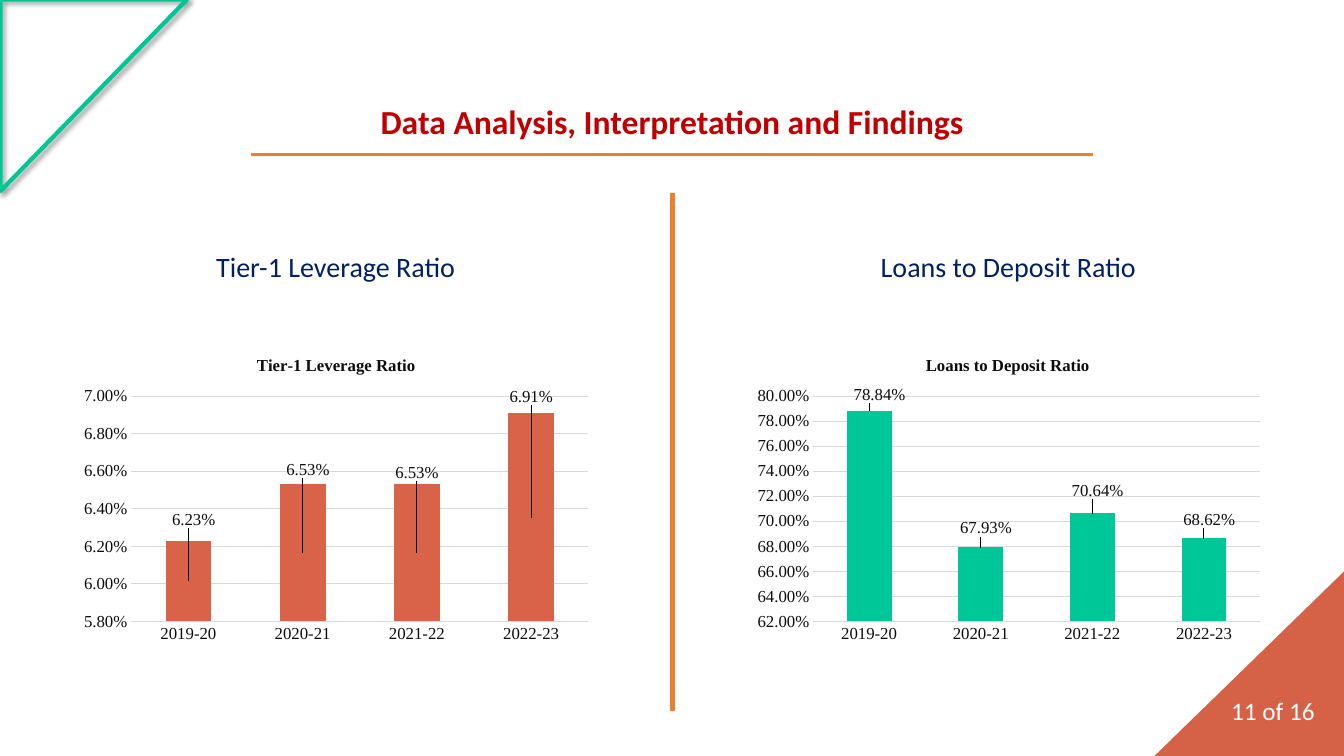
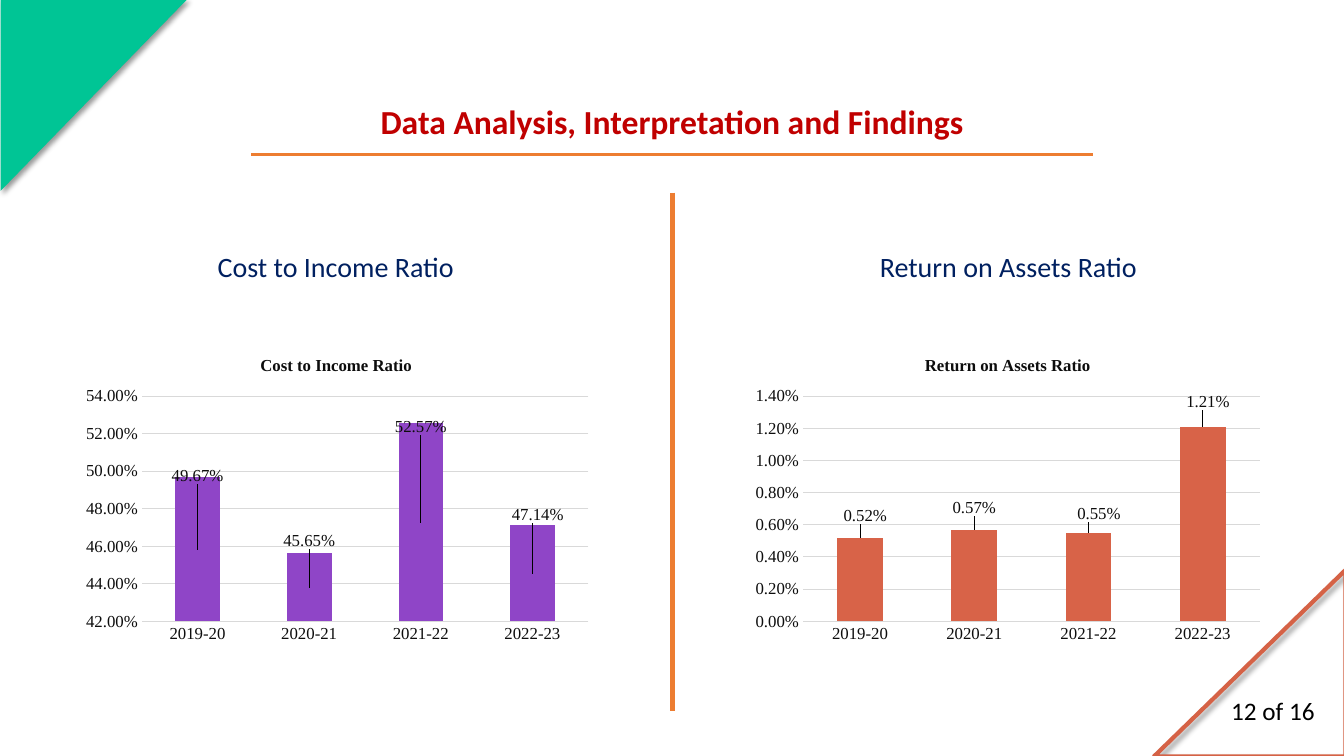
from lxml.etree import SubElement
from pptx import Presentation
from pptx.chart.data import CategoryChartData
from pptx.dml.color import RGBColor
from pptx.enum.chart import XL_CHART_TYPE, XL_LABEL_POSITION, XL_TICK_MARK
from pptx.enum.shapes import MSO_CONNECTOR, MSO_SHAPE
from pptx.enum.text import PP_ALIGN
from pptx.oxml import parse_xml
from pptx.oxml.ns import nsdecls, qn
from pptx.util import Inches, Pt

GREEN = RGBColor(0x00, 0xC5, 0x95)
CORAL = RGBColor(0xD5, 0x62, 0x46)
BAR_GREEN = RGBColor(0x00, 0xC7, 0x98)
BAR_CORAL = RGBColor(0xD8, 0x63, 0x48)
BAR_PURPLE = RGBColor(0x8F, 0x45, 0xC7)
ORANGE = RGBColor(0xED, 0x7D, 0x31)
RED = RGBColor(0xC0, 0x00, 0x00)
NAVY = RGBColor(0x00, 0x20, 0x60)
INK = RGBColor(0x0D, 0x0D, 0x0D)
GRID = RGBColor(0xD9, 0xD9, 0xD9)
BLACK = RGBColor(0x00, 0x00, 0x00)
WHITE = RGBColor(0xFF, 0xFF, 0xFF)

TITLE = "Data Analysis, Interpretation and Findings"
YEARS = ["2019-20", "2020-21", "2021-22", "2022-23"]
PERCENT = "0.00%"
STACKED = XL_CHART_TYPE.COLUMN_STACKED
CLUSTERED = XL_CHART_TYPE.COLUMN_CLUSTERED

SLIDES = [
    {
        "number": "11 of 16",
        "number_color": WHITE,
        "green_filled": False,
        "coral_filled": True,
        "left": {
            "name": "Tier-1 Leverage Ratio",
            "kind": STACKED,
            "color": BAR_CORAL,
            "values": [0.0623, 0.0653, 0.0653, 0.0691],
            "scale": (0.058, 0.07, 0.002),
            "plot_left": 0.11,
            "offsets": [(0.01, -0.2), (0.01, -0.27), (0, -0.26), (0, -0.39)],
        },
        "right": {
            "name": "Loans to Deposit Ratio",
            "kind": CLUSTERED,
            "color": BAR_GREEN,
            "values": [0.7884, 0.6793, 0.7064, 0.6862],
            "scale": (0.62, 0.8, 0.02),
            "plot_left": 0.13,
            "offsets": [(0.02, -0.01), (0.01, -0.02), (0.01, -0.03), (0.01, -0.02)],
        },
    },
    {
        "number": "12 of 16",
        "number_color": BLACK,
        "green_filled": True,
        "coral_filled": False,
        "left": {
            "name": "Cost to Income Ratio",
            "kind": STACKED,
            "color": BAR_PURPLE,
            "values": [0.4967, 0.4565, 0.5257, 0.4714],
            "scale": (0.42, 0.54, 0.02),
            "plot_left": 0.13,
            "offsets": [(0, -0.24), (0, -0.15), (0, -0.31), (0.01, -0.19)],
        },
        "right": {
            "name": "Return on Assets Ratio",
            "kind": CLUSTERED,
            "color": BAR_CORAL,
            "values": [0.0052, 0.0057, 0.0055, 0.0121],
            "scale": (0, 0.014, 0.002),
            "plot_left": 0.11,
            "offsets": [(0.01, -0.03), (0, -0.03), (0.02, -0.02), (0.01, -0.04)],
        },
    },
]


def set_font(font, name, size, color, bold=False):
    font.name = name
    font.size = Pt(size)
    font.color.rgb = color
    font.bold = bold


def manual_layout(**settings):
    layout = parse_xml(f"<c:layout {nsdecls('c')}><c:manualLayout/></c:layout>")
    for tag, value in settings.items():
        SubElement(layout[0], qn(f"c:{tag}")).set("val", str(value))
    return layout


class Deck:
    text_font = "Calibri"
    chart_font = "Times New Roman"

    def __init__(self):
        self.presentation = Presentation()
        self.presentation.slide_width = Inches(13.33)
        self.presentation.slide_height = Inches(7.5)
        self.slide = None

    def add_slide(self):
        layout = self.presentation.slide_layouts[6]
        self.slide = self.presentation.slides.add_slide(layout)

    def corner(self, left, top, width, height, rotation, color, filled):
        shape = self.slide.shapes.add_shape(
            MSO_SHAPE.RIGHT_TRIANGLE,
            Inches(left), Inches(top), Inches(width), Inches(height))
        shape.rotation = rotation
        if filled:
            shape.fill.solid()
            shape.fill.fore_color.rgb = color
            shape.line.fill.background()
        else:
            shape.fill.background()
            shape.line.color.rgb = color
            shape.line.width = Pt(3)
        shape.shadow.inherit = False
        effects = shape._element.spPr.find(qn("a:effectLst"))
        effects.append(parse_xml(
            f'<a:outerShdw {nsdecls("a")} blurRad="{Pt(4)}" dist="{Pt(3)}" '
            'dir="2700000" algn="tl" rotWithShape="0"><a:srgbClr val="000000">'
            '<a:alpha val="40000"/></a:srgbClr></a:outerShdw>'))

    def text(self, text, left, top, width, height, size, color, bold=False):
        box = self.slide.shapes.add_textbox(
            Inches(left), Inches(top), Inches(width), Inches(height))
        box.text_frame.word_wrap = True
        paragraph = box.text_frame.paragraphs[0]
        paragraph.text = text
        paragraph.alignment = PP_ALIGN.CENTER
        set_font(paragraph.font, self.text_font, size, color, bold)

    def line(self, start_x, start_y, end_x, end_y, width):
        connector = self.slide.shapes.add_connector(
            MSO_CONNECTOR.STRAIGHT,
            Inches(start_x), Inches(start_y), Inches(end_x), Inches(end_y))
        connector.line.color.rgb = ORANGE
        connector.line.width = Pt(width)
        SubElement(connector._element.spPr, qn("a:effectLst"))

    def chart(self, left, ratio):
        data = CategoryChartData(number_format=PERCENT)
        data.categories = YEARS
        data.add_series("Series 1", ratio["values"])
        chart = self.slide.shapes.add_chart(
            ratio["kind"], Inches(left), Inches(3.38),
            Inches(5.21), Inches(3.06), data).chart
        set_font(chart.font, self.chart_font, 12, INK)
        chart.has_legend = False
        chart.has_title = True
        chart.chart_title.include_in_layout = False
        title = chart.chart_title.text_frame.paragraphs[0]
        title.text = ratio["name"]
        set_font(title.font, self.chart_font, 12, INK, bold=True)
        self.axes(chart, ratio["scale"])
        self.place_plot(chart, ratio["plot_left"])
        self.bars(chart.plots[0], ratio)

    def axes(self, chart, scale):
        for axis in (chart.category_axis, chart.value_axis):
            axis.major_tick_mark = XL_TICK_MARK.NONE
            axis.minor_tick_mark = XL_TICK_MARK.NONE
            axis.format.line.fill.background()
            set_font(axis.tick_labels.font, self.chart_font, 12, INK)
        axis = chart.value_axis
        axis.minimum_scale, axis.maximum_scale, axis.major_unit = scale
        axis.tick_labels.number_format = PERCENT
        axis.tick_labels.number_format_is_linked = False
        gridline = axis.major_gridlines.format.line
        gridline.color.rgb = GRID
        gridline.width = Pt(0.75)

    def place_plot(self, chart, left):
        plot_area = chart._chartSpace.chart.plotArea
        for layout in plot_area.findall(qn("c:layout")):
            plot_area.remove(layout)
        plot_area.insert(0, manual_layout(
            layoutTarget="inner", xMode="edge", yMode="edge",
            x=left, y=0.18, w=round(0.98 - left, 2), h=0.73))

    def bars(self, plot, ratio):
        stacked = ratio["kind"] == STACKED
        plot.gap_width = 150
        plot.overlap = 100 if stacked else 0
        plot.vary_by_categories = False
        series = plot.series[0]
        series.format.fill.solid()
        series.format.fill.fore_color.rgb = ratio["color"]
        labels = series.data_labels
        labels.show_value = True
        labels.number_format = PERCENT
        labels.number_format_is_linked = False
        set_font(labels.font, self.chart_font, 12, INK)
        position = XL_LABEL_POSITION.CENTER if stacked else XL_LABEL_POSITION.OUTSIDE_END
        for index in range(len(YEARS)):
            label = series.points[index].data_label
            set_font(label.font, self.chart_font, 12, INK)
            label.position = position
        label_elements = labels._element.findall(qn("c:dLbl"))
        for element, (x, y) in zip(label_elements, ratio["offsets"]):
            element.insert(1, manual_layout(x=x, y=y))

    def ratio_slide(self, content):
        self.add_slide()
        self.corner(-0.02, 0.02, 1.9, 1.85, 90, GREEN, content["green_filled"])
        self.corner(11.47, 5.63, 1.85, 1.9, 270, CORAL, content["coral_filled"])
        self.text(content["number"], 11.95, 6.85, 1.35, 0.4, 18, content["number_color"])
        self.text(TITLE, 0.77, 0.95, 11.79, 0.5, 24, RED, bold=True)
        self.line(2.49, 1.53, 10.84, 1.53, 2.25)
        self.line(6.67, 1.91, 6.67, 7.05, 3)
        self.text(content["left"]["name"], 0.68, 2.43, 5.3, 0.44, 20, NAVY)
        self.text(content["right"]["name"], 6.99, 2.43, 6.02, 0.44, 20, NAVY)
        self.chart(0.73, content["left"])
        self.chart(7.39, content["right"])


def main():
    deck = Deck()
    for content in SLIDES:
        deck.ratio_slide(content)
    deck.presentation.save("out.pptx")


if __name__ == "__main__":
    main()
